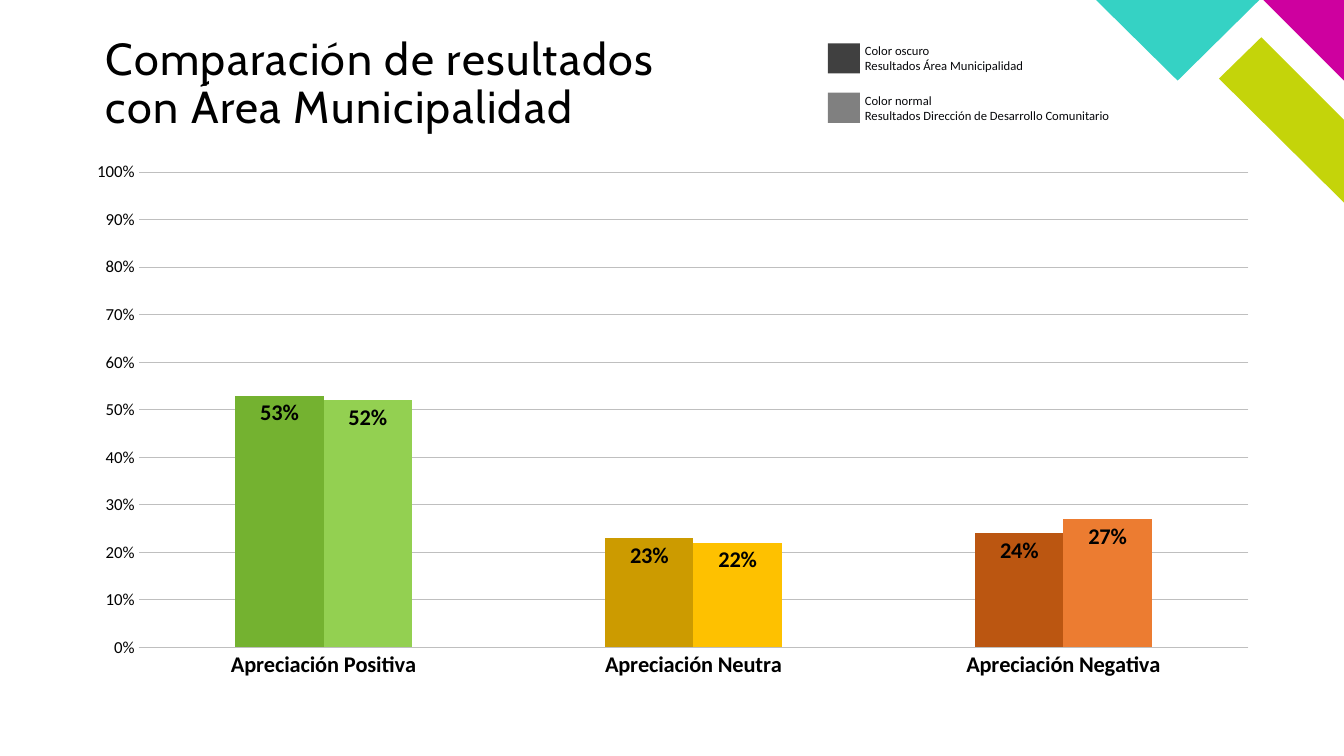
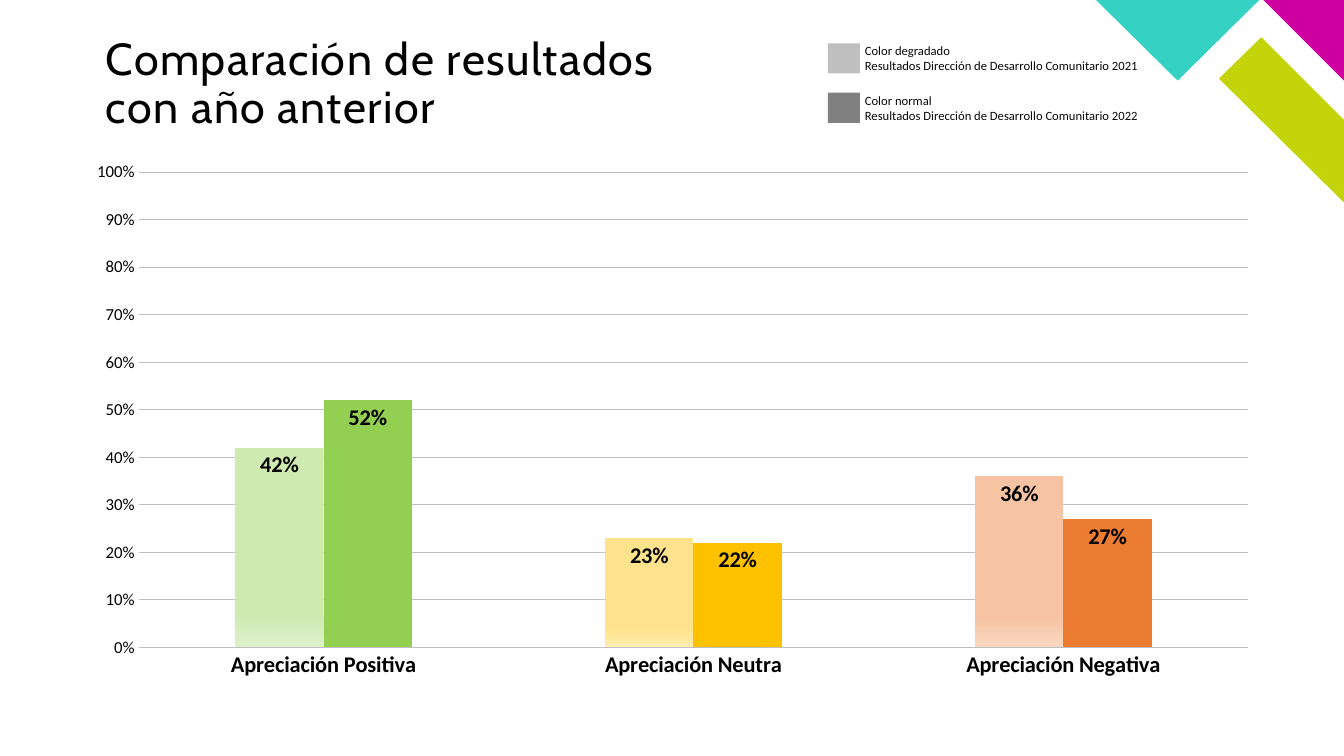
"""Build two slides that compare survey results in clustered column charts."""
from lxml.etree import SubElement
from pptx import Presentation
from pptx.chart.data import CategoryChartData
from pptx.dml.color import RGBColor
from pptx.enum.chart import XL_CHART_TYPE, XL_LABEL_POSITION, XL_TICK_MARK
from pptx.enum.shapes import MSO_SHAPE
from pptx.enum.text import MSO_ANCHOR, MSO_AUTO_SIZE, PP_ALIGN
from pptx.oxml.ns import qn
from pptx.util import Inches, Pt

TITLE_FONT, BODY_FONT = "Cabin", "Calibri"
BLACK, LEGEND_TEXT, GRID = "000000", "07080B", "BFBFBF"
CORNER_SHAPES = [
    ("C4D40A", [(13.33, 2.01), (13.33, 1.19), (12.51, 0.37), (12.09, 0.78)]),
    ("CE009F", [(13.33, 0.8), (13.33, 0), (12.53, 0)]),
    ("35D2C4", [(10.87, 0), (11.68, 0.8), (12.49, 0)]),
]
CATEGORIES = ["Apreciación Positiva", "Apreciación Neutra", "Apreciación Negativa"]
NORMAL_SERIES = ("Series 2", [0.52, 0.22, 0.27], ["93D051", "FEC100", "EC7C31"])
SLIDES = [
    {
        "title": "Comparación de resultados con Área Municipalidad",
        "legend": [
            ("404040", "Color oscuro", "Resultados Área Municipalidad"),
            ("808080", "Color normal", "Resultados Dirección de Desarrollo Comunitario"),
        ],
        "series": [
            ("Series 1", [0.53, 0.23, 0.24], ["74B230", "CC9B00", "BB5611"]),
            NORMAL_SERIES,
        ],
    },
    {
        "title": "Comparación de resultados con año anterior",
        "legend": [
            ("BFBFBF", "Color degradado", "Resultados Dirección de Desarrollo Comunitario 2021"),
            ("808080", "Color normal", "Resultados Dirección de Desarrollo Comunitario 2022"),
        ],
        "series": [
            ("Series 1", [0.42, 0.23, 0.36],
             [("CEEAB1", "DFF1CB"), ("FFE38C", "FFEDB2"), ("F6C4A2", "F9D8C1")]),
            NORMAL_SERIES,
        ],
    },
]
PLOT_AREA = {"x": 0.055, "y": 0.039, "w": 0.925, "h": 0.883}
LEGEND_TOP, LEGEND_STEP = 0.43, 0.49


def rgb(value):
    return RGBColor.from_string(value)


def style_font(font, size, color=BLACK, name=BODY_FONT, bold=False):
    font.size, font.name, font.bold = Pt(size), name, bold
    font.color.rgb = rgb(color)


def style_shape(shape, color):
    shape.shadow.inherit = False
    shape.fill.solid()
    shape.fill.fore_color.rgb = rgb(color)
    shape.line.fill.background()


def style_line(line, color, width):
    line.color.rgb = rgb(color)
    line.width = Pt(width)


def fill_column(fill, color):
    if isinstance(color, str):
        fill.solid()
        fill.fore_color.rgb = rgb(color)
        return
    fill.gradient()
    fill.gradient_angle = 270
    for stop, position, stop_color in zip(fill.gradient_stops, (0.83, 1), color):
        stop.position = position
        stop.color.rgb = rgb(stop_color)


def add_corner(slide, layout):
    for color, points in CORNER_SHAPES:
        start, *rest = [(Inches(x), Inches(y)) for x, y in points]
        builder = slide.shapes.build_freeform(*start)
        builder.add_line_segments(rest, close=True)
        shape = builder.convert_to_shape()
        style_shape(shape, color)
        layout.shapes.element.append(shape.element)


def set_title(slide, text):
    title = slide.shapes.title
    title.left, title.top = Inches(1.05), Inches(0.36)
    title.width, title.height = Inches(5.92), Inches(1.14)
    frame = title.text_frame
    frame.margin_left = frame.margin_right = frame.margin_top = frame.margin_bottom = 0
    frame.word_wrap, frame.auto_size = True, MSO_AUTO_SIZE.NONE
    frame.vertical_anchor = MSO_ANCHOR.TOP
    paragraph = frame.paragraphs[0]
    paragraph.alignment, paragraph.line_spacing = PP_ALIGN.LEFT, 0.9
    run = paragraph.add_run()
    run.text = text
    style_font(run.font, 32, name=TITLE_FONT)
    run.font._element.set("spc", "100")


def add_legend(slide, entries):
    for index, (color, *lines) in enumerate(entries):
        top = LEGEND_TOP + index * LEGEND_STEP
        swatch = slide.shapes.add_shape(
            MSO_SHAPE.RECTANGLE, Inches(8.21), Inches(top), Inches(0.32), Inches(0.3))
        style_shape(swatch, color)
        box = slide.shapes.add_textbox(
            Inches(8.48), Inches(top - 0.05), Inches(3.2), Inches(0.4))
        frame = box.text_frame
        frame.word_wrap = True
        for number, line in enumerate(lines):
            paragraph = frame.add_paragraph() if number else frame.paragraphs[0]
            run = paragraph.add_run()
            run.text = line
            style_font(run.font, 9, LEGEND_TEXT)


def fix_plot_area(chart):
    plot_area = chart.element.find(".//" + qn("c:plotArea"))
    layout = plot_area.find(qn("c:layout"))
    if layout is None:
        layout = SubElement(plot_area, qn("c:layout"))
        plot_area.insert(0, layout)
    manual = SubElement(layout, qn("c:manualLayout"))
    settings = [("layoutTarget", "inner"), ("xMode", "edge"), ("yMode", "edge")]
    for name, value in settings + list(PLOT_AREA.items()):
        SubElement(manual, qn("c:" + name)).set("val", str(value))


def style_axes(chart):
    category_axis, value_axis = chart.category_axis, chart.value_axis
    for axis, size, bold in ((category_axis, 16, True), (value_axis, 12, False)):
        axis.major_tick_mark = axis.minor_tick_mark = XL_TICK_MARK.NONE
        style_font(axis.tick_labels.font, size, bold=bold)
    style_line(category_axis.format.line, GRID, 0.75)
    value_axis.format.line.fill.background()
    value_axis.minimum_scale, value_axis.maximum_scale = 0, 1
    value_axis.major_unit = 0.1
    value_axis.has_major_gridlines = True
    style_line(value_axis.major_gridlines.format.line, GRID, 0.5)
    value_axis.tick_labels.number_format = "0%"
    value_axis.tick_labels.number_format_is_linked = False


def add_column_chart(slide, series_list):
    data = CategoryChartData(number_format="0%")
    data.categories = CATEGORIES
    for name, values, _ in series_list:
        data.add_series(name, values)
    chart = slide.shapes.add_chart(
        XL_CHART_TYPE.COLUMN_CLUSTERED, Inches(0.72), Inches(1.5),
        Inches(11.9), Inches(5.34), data).chart
    chart.has_legend = chart.has_title = False
    style_font(chart.font, 10)
    fix_plot_area(chart)
    style_axes(chart)
    plot = chart.plots[0]
    plot.gap_width, plot.overlap, plot.vary_by_categories = 219, 0, False
    for series, (_, _, colors) in zip(plot.series, series_list):
        for index, color in enumerate(colors):
            fill_column(series.points[index].format.fill, color)
        labels = series.data_labels
        labels.show_value = True
        labels.position = XL_LABEL_POSITION.INSIDE_END
        labels.number_format, labels.number_format_is_linked = "0%", False
        style_font(labels.font, 16, bold=True)


def main():
    presentation = Presentation()
    presentation.slide_width, presentation.slide_height = Inches(13.33), Inches(7.5)
    layout = presentation.slide_layouts[5]
    for index, content in enumerate(SLIDES):
        slide = presentation.slides.add_slide(layout)
        if index == 0:
            add_corner(slide, layout)
        set_title(slide, content["title"])
        add_column_chart(slide, content["series"])
        add_legend(slide, content["legend"])
    presentation.save("out.pptx")


if __name__ == "__main__":
    main()
